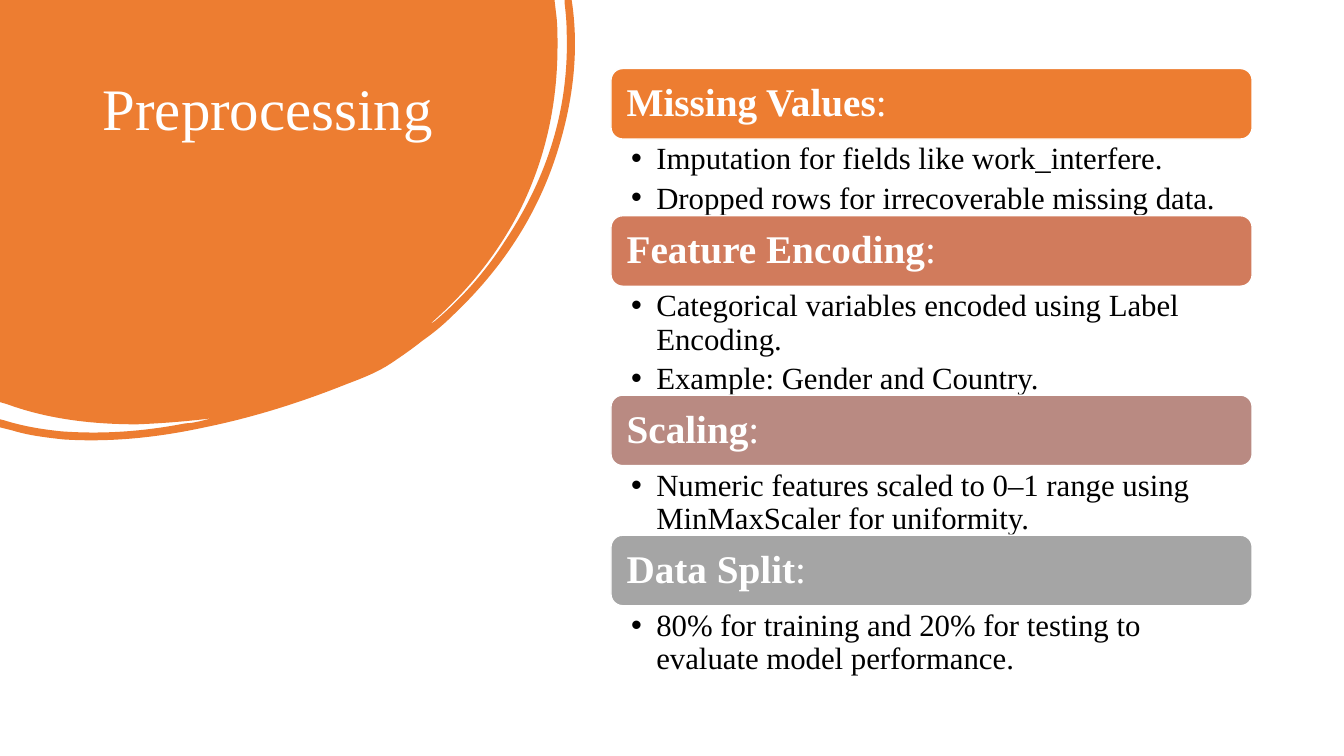
"""Build the Preprocessing slide: a curved title panel beside four stacked topics."""
from lxml import etree
from pptx import Presentation
from pptx.dml.color import RGBColor
from pptx.enum.shapes import MSO_SHAPE
from pptx.enum.text import MSO_ANCHOR, PP_ALIGN
from pptx.oxml.ns import qn
from pptx.util import Inches, Pt

TOP, MIDDLE, LEFT = MSO_ANCHOR.TOP, MSO_ANCHOR.MIDDLE, PP_ALIGN.LEFT
ROUNDED = MSO_SHAPE.ROUNDED_RECTANGLE
ORANGE = RGBColor(0xED, 0x7D, 0x31)
TERRACOTTA = RGBColor(0xD1, 0x7B, 0x5C)
ROSE = RGBColor(0xB9, 0x8A, 0x82)
GRAY = RGBColor(0xA5, 0xA5, 0xA5)
WHITE = RGBColor(0xFF, 0xFF, 0xFF)
BLACK = RGBColor(0, 0, 0)
FONT, BULLET_FONT = "Times New Roman", "Arial"

TITLE = "Preprocessing"
TOPICS = [
    ("Missing Values", ORANGE, 0.76, [
        "Imputation for fields like work_interfere.",
        "Dropped rows for irrecoverable missing data."]),
    ("Feature Encoding", TERRACOTTA, 1.08, [
        "Categorical variables encoded using Label Encoding.",
        "Example: Gender and Country."]),
    ("Scaling", ROSE, 0.69, [
        "Numeric features scaled to 0–1 range using MinMaxScaler for uniformity."]),
    ("Data Split", GRAY, 0.69, [
        "80% for training and 20% for testing to evaluate model performance."]),
]

PANEL_OUTLINE = [
    (0, 0), (5.5, 0), (5.52, 0.17),
    (5.53, 0.26, 5.53, 0.36, 5.53, 0.45),
    (5.53, 1.01, 5.42, 1.54, 5.18, 2.04),
    (4.96, 2.49, 4.65, 2.88, 4.27, 3.21),
    (4.29, 3.21, 4.3, 3.19, 4.32, 3.18),
    (4.59, 2.95, 4.82, 2.69, 5.01, 2.39),
    (5.43, 1.76, 5.65, 1.07, 5.62, 0.3),
    (5.62, 0.21, 5.61, 0.12, 5.6, 0.03),
    (5.6, 0), (5.67, 0), (5.68, 0.07),
    (5.74, 0.54, 5.68, 1.02, 5.53, 1.5),
    (5.33, 2.14, 4.97, 2.68, 4.48, 3.14),
    (4.39, 3.23, 4.29, 3.31, 4.19, 3.38),
    (4.09, 3.46, 3.99, 3.53, 3.87, 3.61),
    (3.75, 3.69, 3.6, 3.75, 3.44, 3.81),
    (2.99, 3.99, 2.52, 4.14, 2.03, 4.24),
    (1.57, 4.34, 1.1, 4.39, 0.63, 4.36),
    (0.45, 4.34, 0.28, 4.32, 0.12, 4.27),
    (0, 4.24), (0, 4.16), (0.04, 4.17),
    (0.23, 4.23, 0.42, 4.26, 0.61, 4.28),
    (1.03, 4.31, 1.43, 4.28, 1.84, 4.2),
    (1.89, 4.2, 1.93, 4.19, 1.98, 4.18),
    (2.02, 4.17, 2.06, 4.16, 2.1, 4.15),
    (1.86, 4.18, 1.61, 4.2, 1.36, 4.21),
    (0.92, 4.21, 0.48, 4.16, 0.07, 4.01),
    (0, 3.99),
]
PANEL_SIZE = (5.71, 4.37)
UNITS_PER_INCH = 1000

SLIDE_WIDTH, SLIDE_HEIGHT = 13.33, 7.5
TITLE_BOX = (0.92, 0.74, 3.52, 2.22)
COLUMN_LEFT, COLUMN_TOP, COLUMN_WIDTH = 6.06, 0.68, 6.36
HEADING_HEIGHT, HEADING_INSET = 0.7, 0.035


def units(lengths):
    return [round(length * UNITS_PER_INCH) for length in lengths]


def write(box, paragraphs, size, color, insets=(0.1, 0.05, 0.1, 0.05),
          anchor=TOP, after=0, bullet=None):
    frame = box.text_frame
    frame.word_wrap = True
    frame.vertical_anchor = anchor
    (frame.margin_left, frame.margin_top,
     frame.margin_right, frame.margin_bottom) = map(Inches, insets)
    for index, runs in enumerate(paragraphs):
        para = frame.add_paragraph() if index else frame.paragraphs[0]
        para.alignment = LEFT
        para.line_spacing = 0.9
        para.space_after = Pt(after)
        if bullet:
            para.level = 1
            properties = para._p.get_or_add_pPr()
            properties.set("marL", str(Inches(0.25)))
            properties.set("indent", str(-Inches(0.25)))
            etree.SubElement(properties, qn("a:buFont")).set("typeface", BULLET_FONT)
            etree.SubElement(properties, qn("a:buChar")).set("char", bullet)
        for text, bold in runs:
            span = para.add_run()
            span.text = text
            span.font.name, span.font.size, span.font.bold = FONT, Pt(size), bold
            span.font.color.rgb = color


def paint(shape, color):
    shape.shadow.inherit = False
    shape.fill.solid()
    shape.fill.fore_color.rgb = color


def add_panel(page):
    start, *segments = PANEL_OUTLINE
    builder = page.shapes.build_freeform(
        *units(start), scale=Inches(1) / UNITS_PER_INCH)
    builder.add_line_segments([units(segment[-2:]) for segment in segments], close=True)
    panel = builder.convert_to_shape()
    paint(panel, ORANGE)
    panel.line.fill.background()
    panel.width, panel.height = map(Inches, PANEL_SIZE)
    curve = panel._element.find(".//" + qn("a:path"))
    for name, length in zip("wh", units(PANEL_SIZE)):
        curve.set(name, str(length))
    for line, segment in zip(curve.findall(qn("a:lnTo")), segments):
        if len(segment) == 6:
            bend = etree.Element(qn("a:cubicBezTo"))
            values = units(segment)
            for x, y in zip(values[::2], values[1::2]):
                etree.SubElement(bend, qn("a:pt"), x=str(x), y=str(y))
            curve.replace(line, bend)


def add_topic(group, top, heading, color, body_height, bullets):
    bar = group.shapes.add_shape(ROUNDED, *map(Inches, (
        COLUMN_LEFT, top, COLUMN_WIDTH, HEADING_HEIGHT)))
    paint(bar, color)
    bar.line.color.rgb = WHITE
    bar.line.width = Pt(1)
    label = group.shapes.add_textbox(*map(Inches, (
        COLUMN_LEFT + HEADING_INSET, top + HEADING_INSET,
        COLUMN_WIDTH - 2 * HEADING_INSET, HEADING_HEIGHT - 2 * HEADING_INSET)))
    write(label, [[(heading, True), (":", False)]], 28, WHITE,
          insets=(0.12, 0.12, 0.12, 0.12), anchor=MIDDLE)
    body = group.shapes.add_textbox(*map(Inches, (
        COLUMN_LEFT, top + HEADING_HEIGHT, COLUMN_WIDTH, body_height)))
    write(body, [[(text, False)] for text in bullets], 22, BLACK,
          insets=(0.2, 0.04, 0.22, 0.04), after=4.4, bullet="•")


def main():
    deck = Presentation()
    deck.slide_width, deck.slide_height = Inches(SLIDE_WIDTH), Inches(SLIDE_HEIGHT)
    page = deck.slides.add_slide(deck.slide_layouts[6])
    add_panel(page)
    title = page.shapes.add_textbox(*map(Inches, TITLE_BOX))
    write(title, [[(TITLE, False)]], 42, WHITE)
    group = page.shapes.add_group_shape()
    top = COLUMN_TOP
    for heading, color, body_height, bullets in TOPICS:
        add_topic(group, top, heading, color, body_height, bullets)
        top += HEADING_HEIGHT + body_height
    deck.save("out.pptx")


if __name__ == "__main__":
    main()
